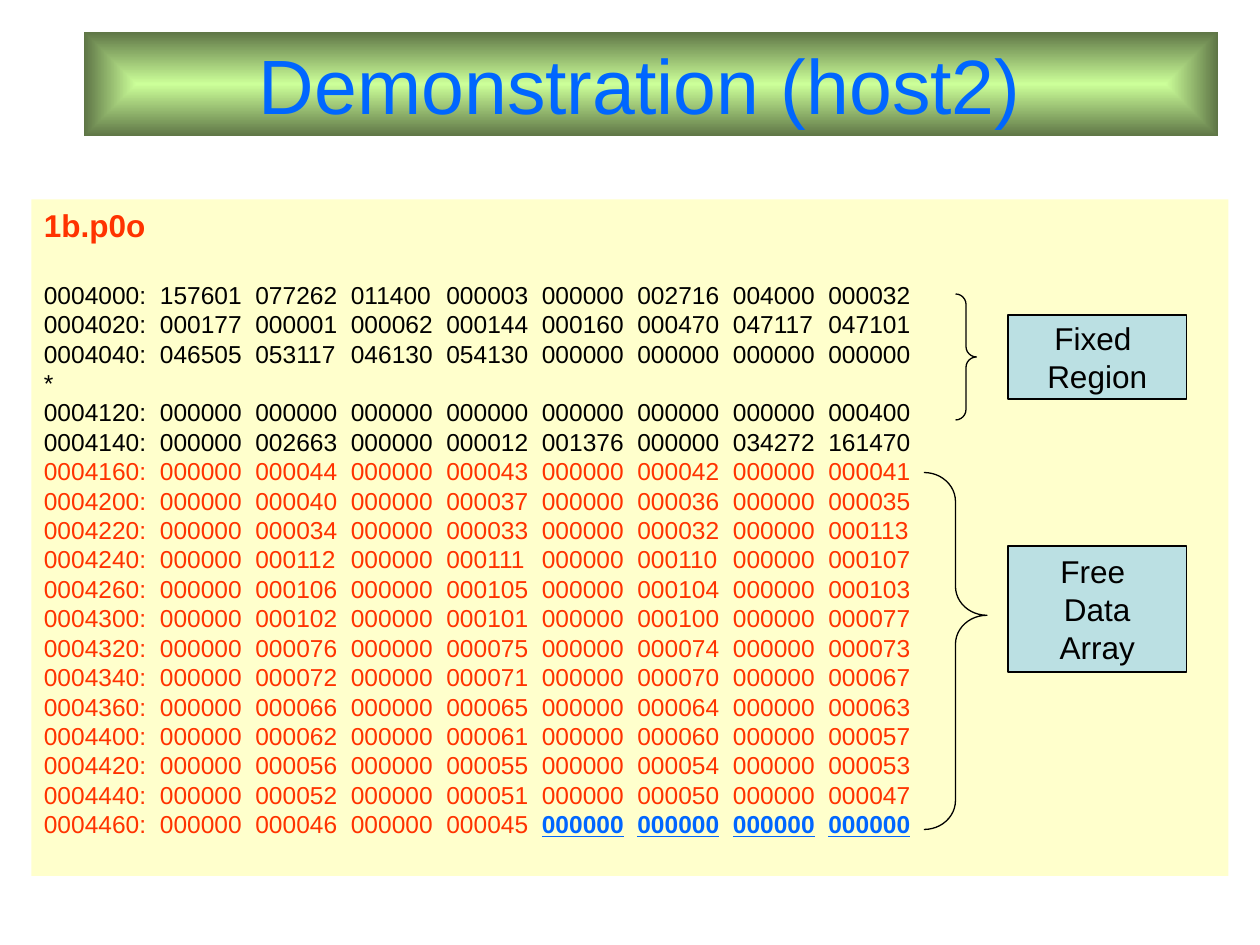
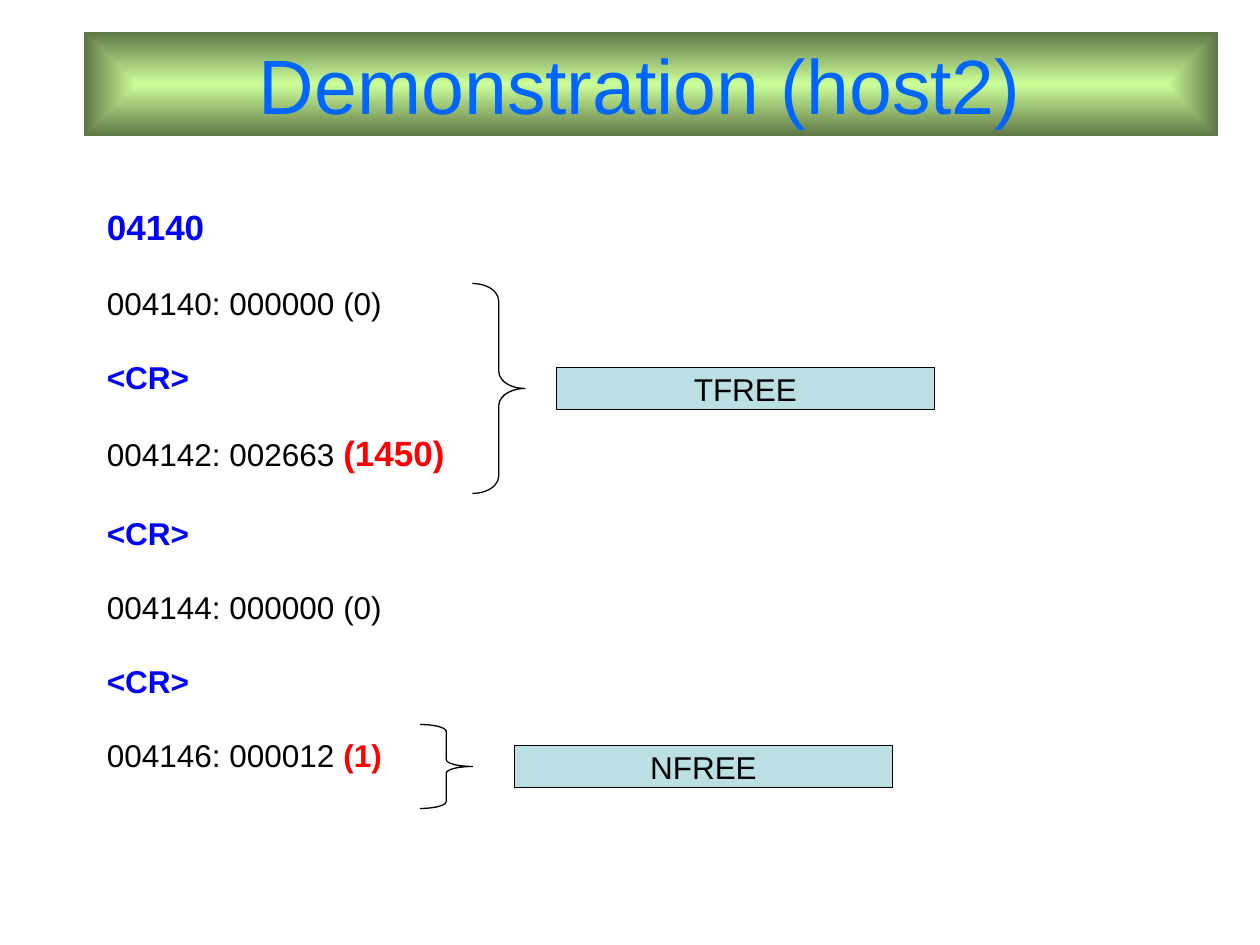
from dataclasses import dataclass

from lxml import etree
from pptx import Presentation
from pptx import util as u
from pptx.dml import color
from pptx.enum import shapes, text
from pptx.oxml import ns

Pt = u.Pt


@dataclass(frozen=True)
class Theme:
    font: str = "Arial"
    title: str = "0066FF"
    band_inner: str = "CCFF99"
    band_edge: str = "5E7546"
    panel: str = "FFFFCC"
    label: str = "BBE0E3"
    ink: str = "000000"
    data: str = "FF3300"
    command: str = "0000FF"
    value: str = "FF0000"
    title_size: float = 44
    large_size: float = 20
    body_size: float = 18
    dump_size: float = 14
    line_width: float = 0.75
    body_gap: float = 20.7
    large_gap: float = 23


FIXED_REGION = """\
0004000: 157601 077262 011400 000003 000000 002716 004000 000032
0004020: 000177 000001 000062 000144 000160 000470 047117 047101
0004040: 046505 053117 046130 054130 000000 000000 000000 000000
*
0004120: 000000 000000 000000 000000 000000 000000 000000 000400
0004140: 000000 002663 000000 000012 001376 000000 034272 161470"""

FREE_DATA = """\
0004160: 000000 000044 000000 000043 000000 000042 000000 000041
0004200: 000000 000040 000000 000037 000000 000036 000000 000035
0004220: 000000 000034 000000 000033 000000 000032 000000 000113
0004240: 000000 000112 000000 000111 000000 000110 000000 000107
0004260: 000000 000106 000000 000105 000000 000104 000000 000103
0004300: 000000 000102 000000 000101 000000 000100 000000 000077
0004320: 000000 000076 000000 000075 000000 000074 000000 000073
0004340: 000000 000072 000000 000071 000000 000070 000000 000067
0004360: 000000 000066 000000 000065 000000 000064 000000 000063
0004400: 000000 000062 000000 000061 000000 000060 000000 000057
0004420: 000000 000056 000000 000055 000000 000054 000000 000053
0004440: 000000 000052 000000 000051 000000 000050 000000 000047"""

LAST_ROW = "0004460: 000000 000046 000000 000045"
UNUSED_WORDS = "000000 000000 000000 000000"

# Tab stops of the eight words after the address
DUMP_TABS = [66.3 + 54.57 * column for column in range(8)]


def rgb(value):
    return color.RGBColor.from_string(value)


def tabbed(row):
    return "\t".join(row.split())


class Painter:
    """Holds the theme and the page being drawn; places are (left, top, width, height) in points."""

    def __init__(self, deck, theme):
        self.deck = deck
        self.theme = theme
        self.page = None

    def new_page(self, title):
        self.page = self.deck.slides.add_slide(self.deck.slide_layouts[6])
        self.band(title)

    def shape(self, kind, place, fill=None, line=None):
        shape = self.page.shapes.add_shape(kind, *map(Pt, place))
        shape.shadow.inherit = False
        if fill:
            shape.fill.solid()
            shape.fill.fore_color.rgb = rgb(fill)
        else:
            shape.fill.background()
        if line:
            shape.line.color.rgb = rgb(line)
            shape.line.width = Pt(self.theme.line_width)
        else:
            shape.line.fill.background()
        return shape

    def frame(self, box, wrap=True, anchor=text.MSO_ANCHOR.MIDDLE):
        formats = dict(
            word_wrap=wrap, vertical_anchor=anchor,
            margin_left=Pt(7.2), margin_right=Pt(7.2),
            margin_top=Pt(3.6), margin_bottom=Pt(3.6),
        )
        for name, value in formats.items():
            setattr(box.text_frame, name, value)

    def fill_text(self, box, paragraphs, align=text.PP_ALIGN.LEFT, tabs=()):
        """Fill a box from (gap before, spans) pairs; a span is (words, format values)."""
        for index, (gap, spans) in enumerate(paragraphs):
            frame = box.text_frame
            para = frame.add_paragraph() if index else frame.paragraphs[0]
            if tabs:
                stops = etree.SubElement(para._p.get_or_add_pPr(), ns.qn("a:tabLst"))
                for stop in tabs:
                    etree.SubElement(stops, ns.qn("a:tab"), pos=str(int(Pt(stop))), algn="l")
            para.alignment = align
            if gap:
                para.space_before = Pt(gap)
            for words, style in spans:
                self.span(para, words, **style)

    def span(self, para, words, size=None, ink=None, **style):
        span = para.add_run()
        span.text = words
        formats = dict(name=self.theme.font, size=Pt(size or self.theme.body_size), **style)
        for name, value in formats.items():
            setattr(span.font, name, value)
        span.font.color.rgb = rgb(ink or self.theme.ink)

    def band(self, title):
        theme = self.theme
        band = self.shape(shapes.MSO_SHAPE.RECTANGLE, (48, 18, 648, 60))
        band.fill.gradient()
        for stop, ink in zip(band.fill.gradient_stops, (theme.band_inner, theme.band_edge)):
            stop.color.rgb = rgb(ink)
        gradient = band._element.spPr.find(ns.qn("a:gradFill"))
        gradient.remove(gradient.find(ns.qn("a:lin")))
        spread = etree.SubElement(gradient, ns.qn("a:path"), path="rect")
        etree.SubElement(spread, ns.qn("a:fillToRect"), dict.fromkeys("ltrb", "50000"))
        self.frame(band)
        style = dict(size=theme.title_size, ink=theme.title)
        self.fill_text(band, [(0, [(title, style)])], text.PP_ALIGN.CENTER)

    def panel(self, place, paragraphs, fill=None, tabs=()):
        if fill:
            box = self.shape(shapes.MSO_SHAPE.RECTANGLE, place, fill)
        else:
            box = self.page.shapes.add_textbox(*map(Pt, place))
        self.frame(box, anchor=text.MSO_ANCHOR.TOP)
        self.fill_text(box, paragraphs, tabs=tabs)

    def label(self, place, *lines, kind=shapes.MSO_SHAPE.RECTANGLE):
        box = self.shape(kind, place, self.theme.label, self.theme.ink)
        self.frame(box, wrap=False)
        self.fill_text(box, [(0, [(line, {})]) for line in lines], text.PP_ALIGN.CENTER)

    def brace(self, place, curl, tip=0.5):
        """Curl is relative to the width, tip to the height."""
        brace = self.shape(shapes.MSO_SHAPE.RIGHT_BRACE, place, line=self.theme.ink)
        brace.adjustments[0] = curl
        brace.adjustments[1] = tip


def dump_page(painter):
    theme = painter.theme
    painter.new_page("Demonstration (host2) ")
    fixed = dict(size=theme.dump_size)
    free = dict(fixed, ink=theme.data)
    unused = dict(fixed, ink=theme.title, bold=True, underline=True)

    rows = [[(tabbed(row), fixed)] for row in FIXED_REGION.splitlines()]
    rows += [[(tabbed(row), free)] for row in FREE_DATA.splitlines()]
    rows.append([(tabbed(LAST_ROW) + "\t", free), (tabbed(UNUSED_WORDS), unused)])
    heading = [("1b.p0o", dict(ink=theme.data, bold=True))]
    paragraphs = [(0, heading)]
    paragraphs += [(0 if index else theme.body_gap, row) for index, row in enumerate(rows)]

    painter.panel((18, 114, 684, 386.6), paragraphs, theme.panel, DUMP_TABS)
    painter.brace((546, 168, 12, 72), curl=0.5)
    painter.brace((528, 270, 36, 204), curl=0.46, tip=0.4)
    painter.label((576, 180, 102, 48), "Fixed ", "Region")
    painter.label((576, 312, 102, 72), "Free ", "Data", "Array")


def session_page(painter):
    theme = painter.theme
    painter.new_page("Demonstration (host2) ")
    command = dict(ink=theme.command, bold=True)
    value = dict(ink=theme.value, bold=True)
    large = dict(size=theme.large_size)
    enter = [("<CR>", command)]
    gap = theme.body_gap

    painter.panel((54, 114, 606, 381.6), [
        (0, [("04140", command | large)]),
        (gap, [("004140: 000000 (0)", {})]),
        (gap, enter),
        (gap, [("004142: 002663 ", {}), ("(1450)", value | large)]),
        (theme.large_gap, enter),
        (gap, [("004144: 000000 (0)", {})]),
        (gap, enter),
        (gap, [("004146: 000012 ", {}), ("(1)", value)]),
    ])
    process = shapes.MSO_SHAPE.FLOWCHART_PROCESS
    painter.brace((270, 162, 30, 120), curl=0.33)
    painter.label((318, 210, 216, 24), "TFREE", kind=process)
    painter.brace((240, 414, 30, 48), curl=0.13)
    painter.label((294, 426, 216, 24), "NFREE", kind=process)


def main():
    deck = Presentation()
    deck.slide_width, deck.slide_height = Pt(720), Pt(540)
    painter = Painter(deck, Theme())
    dump_page(painter)
    session_page(painter)
    deck.save("out.pptx")


if __name__ == "__main__":
    main()
